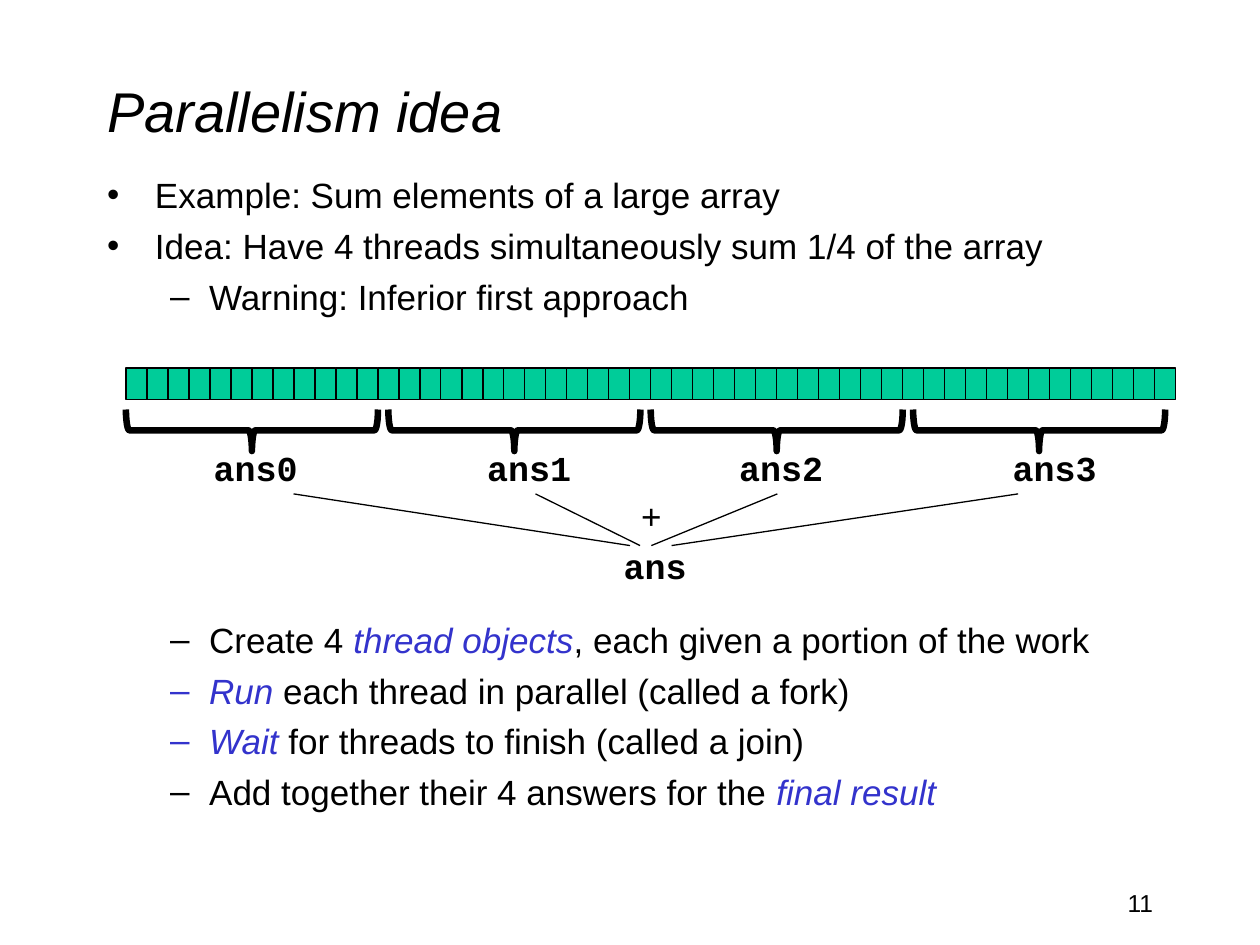
"""Build the slide on summing an array with four parallel threads."""
from dataclasses import dataclass

from lxml.etree import SubElement
from pptx import Presentation
from pptx.dml.color import RGBColor
from pptx.enum.shapes import MSO_CONNECTOR, MSO_SHAPE
from pptx.enum.text import MSO_ANCHOR, MSO_AUTO_SIZE, PP_ALIGN
from pptx.oxml.ns import qn
from pptx.util import Inches, Pt


@dataclass(frozen=True)
class Theme:
    ink: RGBColor = RGBColor(0, 0, 0)
    accent: RGBColor = RGBColor(0x33, 0x33, 0xCC)
    cell: RGBColor = RGBColor(0x00, 0xCC, 0x99)
    sans: str = "Arial"
    mono: str = "Courier New"
    title: int = 32
    body: int = 20
    number: int = 14
    thin: float = 0.75
    thick: float = 3.75


THEME = Theme()
TITLE = "Parallelism idea"
SLIDE_NUMBER = "11"
STEP_GAP, DIAGRAM_GAP = 5, 172
BULLETS = [
    (0, STEP_GAP, [("Example: Sum elements of a large array", False)]),
    (0, STEP_GAP, [("Idea: Have 4 threads simultaneously sum 1/4 of the array", False)]),
    (1, STEP_GAP, [("Warning: Inferior first approach", False)]),
    (1, DIAGRAM_GAP, [("Create 4 ", False), ("thread objects", True),
                      (", each given a portion of the work", False)]),
    (1, STEP_GAP, [("Run ", True), ("each thread in parallel (called a fork)", False)]),
    (1, STEP_GAP, [("Wait", True), (" for threads to finish (called a join)", False)]),
    (1, STEP_GAP, [("Add together their 4 answers for the ", False), ("final result", True)]),
]
LEVELS = [("•", 0.38, -0.38), ("–", 0.81, -0.31)]
ARRAY_LEFT, ARRAY_TOP, ARRAY_WIDTH, CELL_HEIGHT, CELLS = 1, 2.92, 8.33, 0.25, 50
BRACE_LENGTH, BRACE_DEPTH, BRACE_TOP = 2, 0.33, 3.25
PARTIAL_Y, PLUS_Y, TOTAL_Y = 3.71, 4.09, 4.49
JOIN_TOP, JOIN_BOTTOM = 3.92, 4.33
PARTIALS = [
    ("ans0", 2.03, 2.33, 5.0),
    ("ans1", 4.2, 4.25, 5.08),
    ("ans2", 6.2, 6.17, 5.17),
    ("ans3", 8.37, 8.08, 5.33),
]


def add_run(paragraph, text, size, font=THEME.sans, color=THEME.ink, bold=False, italic=False):
    run = paragraph.add_run()
    run.text = text
    run.font.name, run.font.size = font, Pt(size)
    run.font.bold, run.font.italic = bold, italic
    run.font.color.rgb = color


def place(part, left, top, width, height):
    part.left, part.top = Inches(left), Inches(top)
    part.width, part.height = Inches(width), Inches(height)


def add_label(shapes, text, center_x, center_y, font, bold):
    label = shapes.add_textbox(Inches(center_x - 0.6), Inches(center_y - 0.2),
                               Inches(1.2), Inches(0.4))
    label.text_frame.word_wrap = True
    label.text_frame.vertical_anchor = MSO_ANCHOR.MIDDLE
    paragraph = label.text_frame.paragraphs[0]
    paragraph.alignment = PP_ALIGN.CENTER
    add_run(paragraph, text, THEME.body, font, bold=bold)


def add_outlined(shapes, preset, left, top, width, height, line_width):
    part = shapes.add_shape(preset, Inches(left), Inches(top), Inches(width), Inches(height))
    part.shadow.inherit = False
    part.line.color.rgb, part.line.width = THEME.ink, Pt(line_width)
    return part


def add_bullets(body):
    place(body, 0.75, 1.33, 9.08, 5.33)
    frame = body.text_frame
    frame.auto_size, frame.vertical_anchor = MSO_AUTO_SIZE.NONE, MSO_ANCHOR.TOP
    for index, (level, gap, pieces) in enumerate(BULLETS):
        paragraph = frame.add_paragraph() if index else frame.paragraphs[0]
        paragraph.level, paragraph.space_before = level, Pt(gap)
        mark, margin, indent = LEVELS[level]
        properties = paragraph._p.get_or_add_pPr()
        properties.set("marL", str(Inches(margin)))
        properties.set("indent", str(Inches(indent)))
        SubElement(properties, qn("a:buChar")).set("char", mark)
        for text, stressed in pieces:
            add_run(paragraph, text, THEME.body, italic=stressed,
                    color=THEME.accent if stressed else THEME.ink)


def add_diagram(shapes):
    cell_width = ARRAY_WIDTH / CELLS
    for index in range(CELLS):
        cell = add_outlined(shapes, MSO_SHAPE.RECTANGLE, ARRAY_LEFT + index * cell_width,
                            ARRAY_TOP, cell_width, CELL_HEIGHT, THEME.thin)
        cell.fill.solid()
        cell.fill.fore_color.rgb = THEME.cell
    for index, (name, label_x, start_x, end_x) in enumerate(PARTIALS):
        center_x = ARRAY_LEFT + index * ARRAY_WIDTH / len(PARTIALS) + BRACE_LENGTH / 2
        brace = add_outlined(shapes, MSO_SHAPE.LEFT_BRACE, center_x - BRACE_DEPTH / 2,
                             BRACE_TOP + (BRACE_DEPTH - BRACE_LENGTH) / 2,
                             BRACE_DEPTH, BRACE_LENGTH, THEME.thick)
        brace.rotation = 270
        brace.fill.background()
        add_label(shapes, name, label_x, PARTIAL_Y, THEME.mono, True)
        join = shapes.add_connector(MSO_CONNECTOR.STRAIGHT, Inches(start_x), Inches(JOIN_TOP),
                                    Inches(end_x), Inches(JOIN_BOTTOM))
        join.line.color.rgb, join.line.width = THEME.ink, Pt(THEME.thin)
        SubElement(join._element.spPr, qn("a:effectLst"))
    add_label(shapes, "+", 5.17, PLUS_Y, THEME.sans, False)
    add_label(shapes, "ans", 5.2, TOTAL_Y, THEME.mono, True)


def main():
    deck = Presentation()
    deck.slide_width, deck.slide_height = Inches(10), Inches(7.5)
    slide = deck.slides.add_slide(deck.slide_layouts[1])
    title, body = slide.placeholders
    place(title, 0.75, 0.25, 8.5, 1.25)
    title.text_frame.auto_size = MSO_AUTO_SIZE.NONE
    title.text_frame.vertical_anchor = MSO_ANCHOR.MIDDLE
    heading = title.text_frame.paragraphs[0]
    heading.alignment = PP_ALIGN.LEFT
    add_run(heading, TITLE, THEME.title, italic=True)
    add_bullets(body)
    number = slide.shapes.add_textbox(Inches(7.17), Inches(7), Inches(2.08), Inches(0.5))
    number.text_frame.word_wrap = True
    page = number.text_frame.paragraphs[0]
    page.alignment = PP_ALIGN.RIGHT
    add_run(page, SLIDE_NUMBER, THEME.number)
    add_diagram(slide.shapes)
    deck.save("out.pptx")


main()
